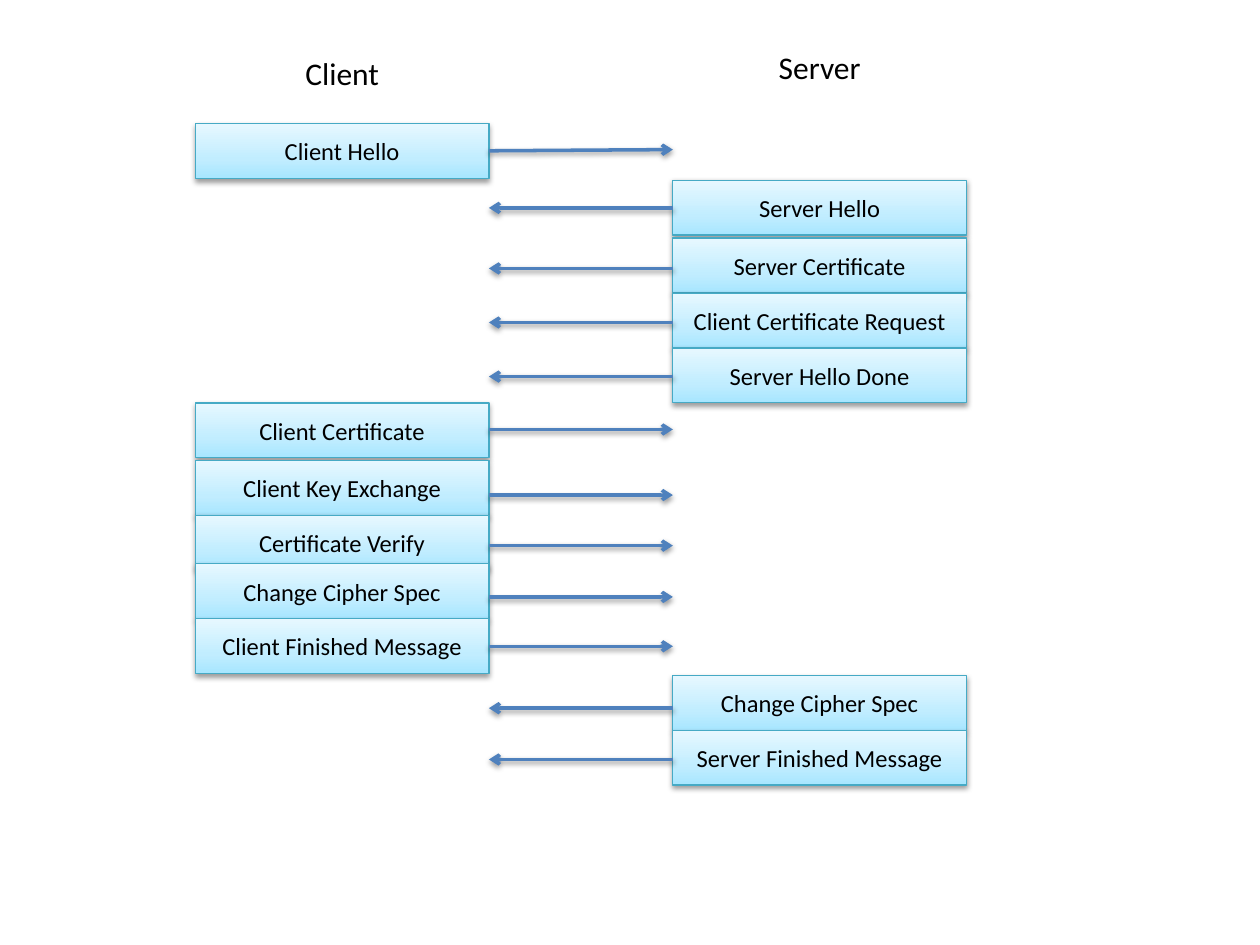
from dataclasses import dataclass

from lxml import etree
from pptx import Presentation
from pptx.dml.color import RGBColor
from pptx.enum import shapes, text
from pptx.oxml import parse_xml
from pptx.oxml.ns import nsdecls, qn
from pptx.util import Pt
from copy import deepcopy

FONT = "Calibri"
LEFT = {"client": 111.6, "server": 384.5}
WIDE, HIGH = 167.8, 31.3
EDGE = LEFT["client"] + WIDE
STOPS = ((0, "A7E6FF"), (0.35, "C1EDFF"), (1, "E7F8FF"))


@dataclass
class Step:
    side: str
    label: str
    top: float
    start: float
    drop: float = 0


@dataclass
class Head:
    side: str
    label: str
    top: float


HEADS = [Head("client", "Client", 27.4), Head("server", "Server", 23.8)]
STEPS = [
    Step("client", "Client Hello", 70.6, 86.2, -0.7),
    Step("server", "Server Hello", 103, 118.8),
    Step("server", "Server Certificate", 136.1, 153.4),
    Step("server", "Client Certificate Request", 167.6, 184.3),
    Step("server", "Server Hello Done", 198.9, 215.2),
    Step("client", "Client Certificate", 230.3, 245.4),
    Step("client", "Client Key Exchange", 263.2, 282.9),
    Step("client", "Certificate Verify", 294.5, 311.8),
    Step("client", "Change Cipher Spec", 322.2, 341.1),
    Step("client", "Client Finished Message", 353.5, 369.3),
    Step("server", "Change Cipher Spec", 386, 404.7),
    Step("server", "Server Finished Message", 417.4, 434),
]


def tint(code: str) -> RGBColor:
    return RGBColor.from_string(code)


def shade(part) -> None:
    """Give a part the soft shadow; call after fill and line are set."""
    part._element.spPr.append(parse_xml(
        f'<a:effectLst {nsdecls("a")}>'
        f'<a:outerShdw blurRad="{Pt(3.1)}" dist="{Pt(1.6)}" dir="5400000" rotWithShape="0">'
        '<a:srgbClr val="000000"><a:alpha val="38000"/></a:srgbClr>'
        '</a:outerShdw></a:effectLst>'))


def write(frame, label: str, size: float) -> None:
    frame.word_wrap = True
    para = frame.paragraphs[0]
    para.text = label
    para.alignment = text.PP_ALIGN.CENTER
    para.font.name = FONT
    para.font.size = Pt(size)
    para.font.color.rgb = tint("000000")


def blend(box) -> None:
    """Fill a box with the three-stop gradient, running upward."""
    box.fill.gradient()
    box.fill.gradient_angle = 90
    stops = box._element.spPr.find(".//" + qn("a:gsLst"))
    stops.append(deepcopy(stops[-1]))
    for stop, (spot, code) in zip(box.fill.gradient_stops, STOPS):
        stop.position = spot
        stop.color.rgb = tint(code)


def add_box(slide, step: Step) -> None:
    box = slide.shapes.add_shape(
        shapes.MSO_SHAPE.RECTANGLE,
        Pt(LEFT[step.side]), Pt(step.top), Pt(WIDE), Pt(HIGH))
    blend(box)
    box.line.color.rgb = tint("46AAC5")
    box.line.width = Pt(0.75)
    shade(box)
    box.text_frame.vertical_anchor = text.MSO_ANCHOR.MIDDLE
    write(box.text_frame, step.label, 14)


def add_head(slide, head: Head) -> None:
    box = slide.shapes.add_textbox(
        Pt(LEFT[head.side] + 9), Pt(head.top), Pt(149.8), Pt(29.1))
    write(box.text_frame, head.label, 18)
    box.text_frame.auto_size = text.MSO_AUTO_SIZE.SHAPE_TO_FIT_TEXT


def add_arrow(slide, step: Step) -> None:
    ends = (EDGE, LEFT["server"])
    tail, tip = ends if step.side == "client" else ends[::-1]
    arrow = slide.shapes.add_connector(
        shapes.MSO_CONNECTOR.STRAIGHT,
        Pt(tail), Pt(step.start), Pt(tip), Pt(step.start + step.drop))
    arrow.line.color.rgb = tint("4F81BD")
    arrow.line.width = Pt(2)
    line = arrow._element.spPr.find(qn("a:ln"))
    etree.SubElement(line, qn("a:tailEnd"), type="arrow")
    shade(arrow)


deck = Presentation()
deck.slide_width, deck.slide_height = Pt(720), Pt(540)
slide = deck.slides.add_slide(deck.slide_layouts[6])

# Column headings
for head in HEADS:
    add_head(slide, head)

# Handshake messages
for step in STEPS:
    add_box(slide, step)

# Direction of each message
for step in STEPS:
    add_arrow(slide, step)

deck.save("out.pptx")
